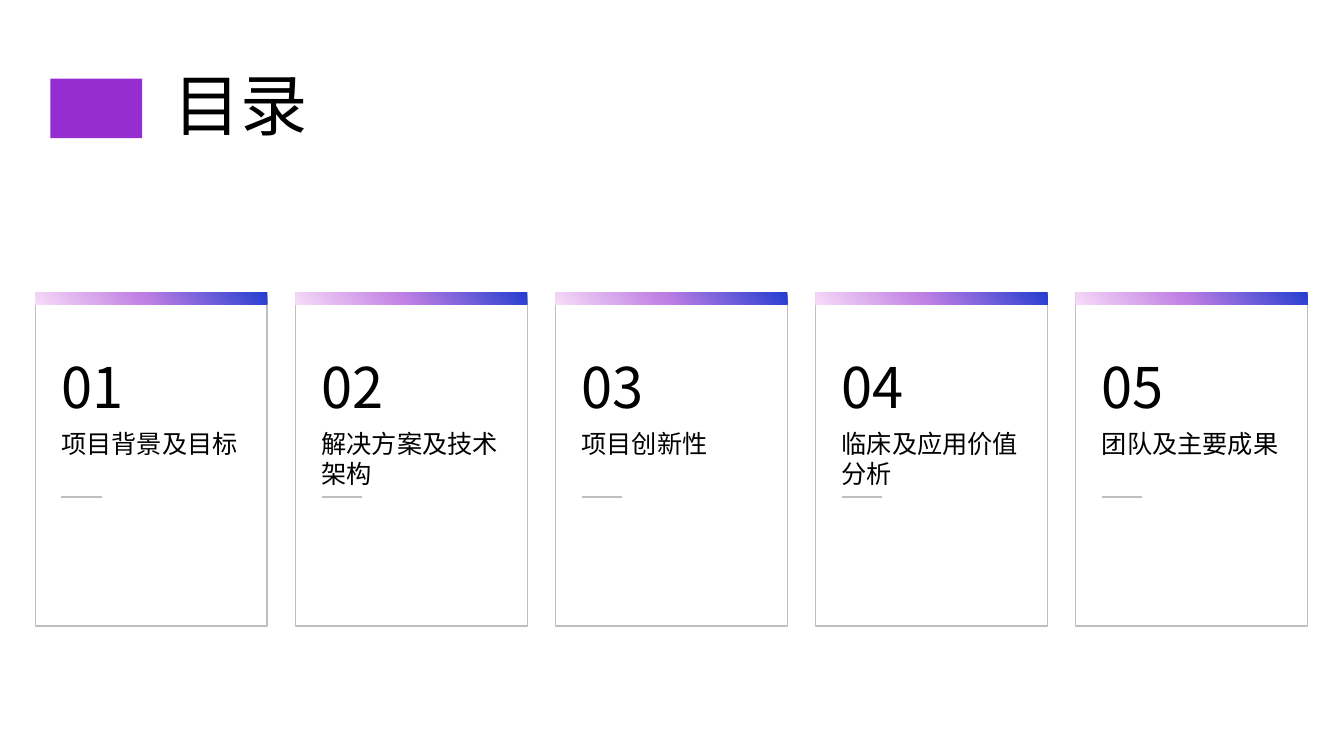
from lxml import etree
from pptx import Presentation
from pptx.dml.color import RGBColor
from pptx.enum.shapes import MSO_CONNECTOR, MSO_SHAPE
from pptx.enum.text import MSO_ANCHOR, PP_ALIGN
from pptx.oxml.ns import qn
from pptx.util import Inches, Pt

RECT, STRAIGHT = MSO_SHAPE.RECTANGLE, MSO_CONNECTOR.STRAIGHT
LEFT, TOP, MIDDLE = PP_ALIGN.LEFT, MSO_ANCHOR.TOP, MSO_ANCHOR.MIDDLE

TITLE = "目录"
SECTIONS = ["项目背景及目标", "解决方案及技术架构", "项目创新性", "临床及应用价值分析", "团队及主要成果"]

THEME = {
    "accent": "952DD0",
    "border": "BFBFBF",
    "text": "000000",
    "gradient": [(0, "F8DCF8"), (47, "C080E4"), (100, "233DD0")],
    "title": {"size": Pt(48), "name": "Montserrat"},
    "number": {"size": Pt(40), "name": "Noto Sans CJK SC"},
    "heading": {"size": Pt(18), "name": "Noto Sans CJK SC"},
    "east_asian": "Noto Sans CJK SC",
}

CARD_LEFT, CARD_TOP, CARD_PITCH = 0.35, 2.9, 2.58
CARD_W, CARD_H, BAR_H = 2.3, 3.31, 0.12
TEXT_INSET, RULE_INSET, RULE_Y, RULE_W = 0.16, 0.26, 4.93, 0.4


def color(name):
    return RGBColor.from_string(THEME[name])


def write(tf, text, style, anchor=TOP):
    tf.word_wrap = True
    tf.vertical_anchor = anchor
    p = tf.paragraphs[0]
    p.alignment = LEFT
    r = p.add_run()
    r.text = text
    for attr, value in THEME[style].items():
        setattr(r.font, attr, value)
    r.font.color.rgb = color("text")
    rPr = r._r.get_or_add_rPr()
    etree.SubElement(rPr, qn("a:ea"), typeface=THEME["east_asian"])
    return p


def add_rect(shapes, x, y, w, h):
    s = shapes.add_shape(RECT, Inches(x), Inches(y), Inches(w), Inches(h))
    s.shadow.inherit = False
    s.fill.background()
    s.line.fill.background()
    return s


def add_text(shapes, x, y, w, h, text, style):
    box = shapes.add_textbox(Inches(x), Inches(y), Inches(w), Inches(h))
    write(box.text_frame, text, style)


def fill_radial(s):
    """Fill with the theme gradient, spreading from the bottom left corner."""
    s.fill.gradient()
    grad = s._element.spPr.find(qn("a:gradFill"))
    for child in list(grad):
        grad.remove(child)
    stops = etree.SubElement(grad, qn("a:gsLst"))
    for percent, rgb in THEME["gradient"]:
        stop = etree.SubElement(stops, qn("a:gs"), pos=str(percent * 1000))
        etree.SubElement(stop, qn("a:srgbClr"), val=rgb)
    circle = etree.SubElement(grad, qn("a:path"), {"path": "circle"})
    etree.SubElement(circle, qn("a:fillToRect"), t="100000", r="100000")


def add_card(slide, index, heading):
    shapes = slide.shapes.add_group_shape().shapes
    x = CARD_LEFT + index * CARD_PITCH

    frame = add_rect(shapes, x, CARD_TOP, CARD_W, CARD_H)
    frame.line.color.rgb = color("border")
    frame.line.width = Pt(1)
    fill_radial(add_rect(shapes, x, CARD_TOP, CARD_W, BAR_H))

    add_text(shapes, x + TEXT_INSET, 3.45, 1.97, 0.77, f"{index + 1:02d}", "number")
    add_text(shapes, x + TEXT_INSET, 4.2, 2.14, 0.71, heading, "heading")

    rule_x = x + RULE_INSET
    rule = shapes.add_connector(STRAIGHT, Inches(rule_x), Inches(RULE_Y),
                                Inches(rule_x + RULE_W), Inches(RULE_Y))
    rule.line.color.rgb = color("border")
    rule.line.width = Pt(1.5)
    etree.SubElement(rule._element.spPr, qn("a:effectLst"))


def main():
    prs = Presentation()
    prs.slide_width, prs.slide_height = Inches(13.33), Inches(7.5)
    slide = prs.slides.add_slide(prs.slide_layouts[5])

    title = slide.shapes.title
    title.left, title.top = Inches(1.62), Inches(0.69)
    title.width, title.height = Inches(11.5), Inches(0.77)
    write(title.text_frame, TITLE, "title", MIDDLE).line_spacing = 0.9

    marker = add_rect(slide.shapes, 0.5, 0.78, 0.91, 0.59)
    marker.fill.solid()
    marker.fill.fore_color.rgb = color("accent")

    for index, heading in enumerate(SECTIONS):
        add_card(slide, index, heading)
    prs.save("out.pptx")


if __name__ == "__main__":
    main()
